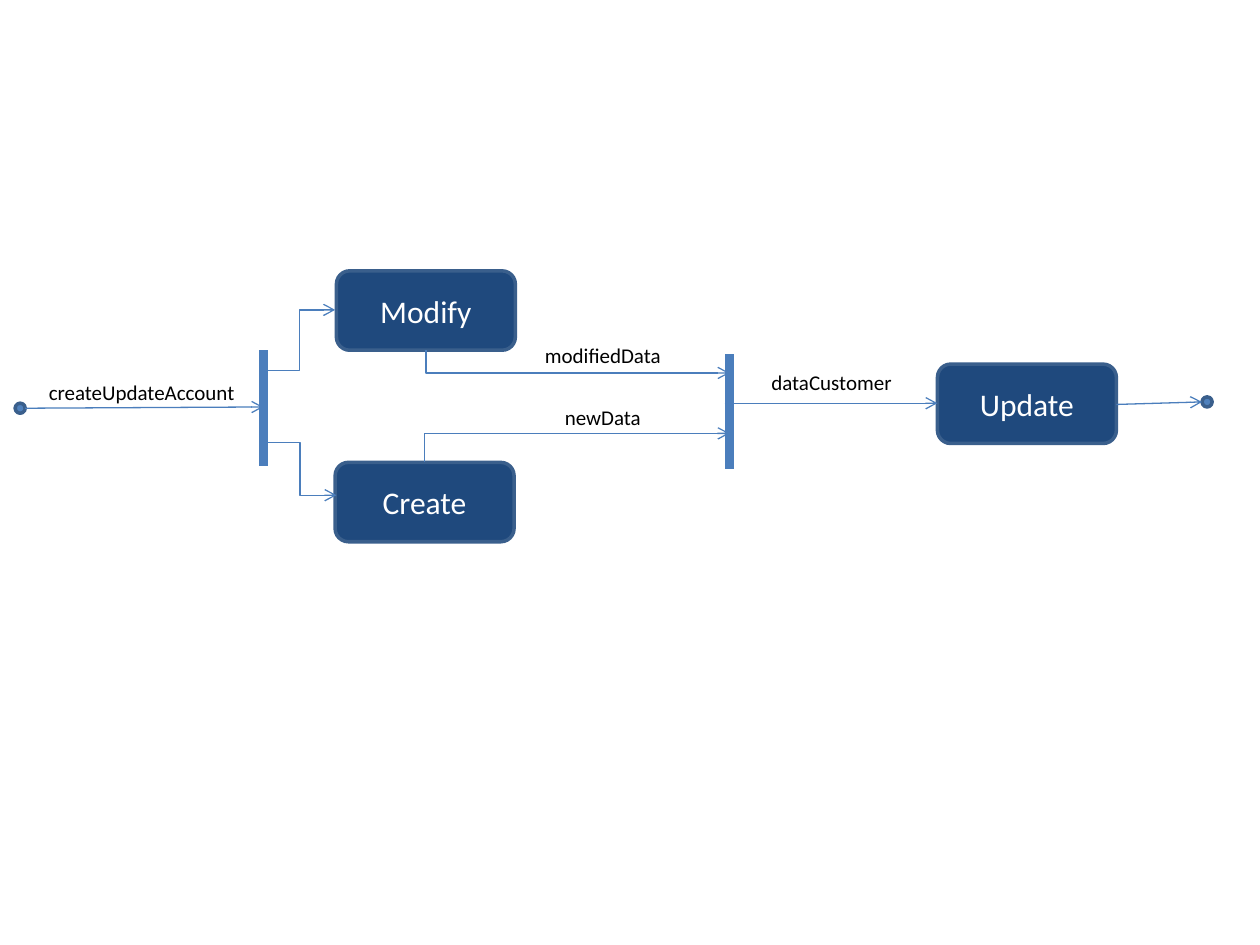
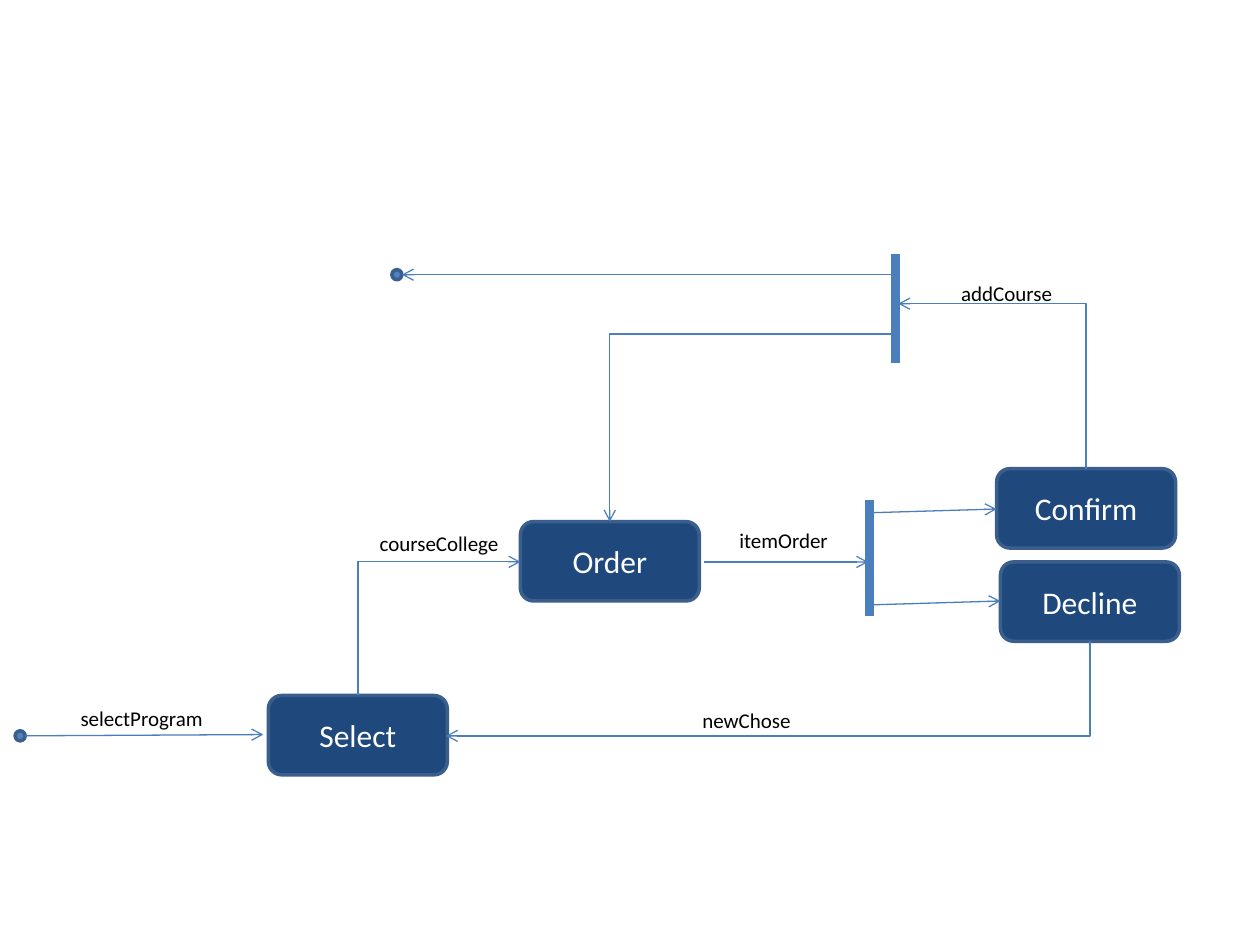
from lxml import etree
from pptx import Presentation
from pptx.dml.color import RGBColor
from pptx.enum.shapes import MSO_CONNECTOR, MSO_SHAPE
from pptx.enum.text import MSO_ANCHOR, PP_ALIGN
from pptx.oxml.ns import qn
from pptx.util import Inches, Pt

STRAIGHT, ELBOW = MSO_CONNECTOR.STRAIGHT, MSO_CONNECTOR.ELBOW
STATE_SHAPE, DOT_SHAPE = MSO_SHAPE.FLOWCHART_ALTERNATE_PROCESS, MSO_SHAPE.OVAL
CENTER, MIDDLE = PP_ALIGN.CENTER, MSO_ANCHOR.MIDDLE

NAVY = RGBColor(0x1F, 0x49, 0x7D)
BLUE = RGBColor(0x4F, 0x81, 0xBD)
OUTLINE = RGBColor(0x3A, 0x5F, 0x8C)
FLOW = RGBColor(0x4B, 0x7E, 0xBC)
WHITE = RGBColor(0xFF, 0xFF, 0xFF)
BLACK = RGBColor(0, 0, 0)
FONT = "Calibri"
STATE_WIDTH, STATE_HEIGHT = 1.42, 0.63
DOT_SIZE = 0.08
LABEL_HEIGHT = 0.3
QUARTER_TURN = "5400000"

# Routes: "line" is straight, "step" turns twice, "across" and "upright" turn once.
DIAGRAMS = [
    {
        "dots": [(0.12, 3.2), (9.54, 3.15)],
        "states": [("Create", 2.66, 3.67), ("Modify", 2.67, 2.15), ("Update", 7.44, 2.89)],
        "bars": [(2.09, 2.78, 3.7), (5.79, 2.81, 3.72)],
        "flows": [
            ("line", (0.2, 3.24), (2.09, 3.23)),
            ("step", (2.09, 3.51), (2.67, 3.93)),
            ("step", (2.09, 2.94), (2.66, 2.46)),
            ("upright", (3.38, 2.78), (5.79, 2.96)),
            ("upright", (3.37, 3.67), (5.79, 3.44)),
            ("line", (5.75, 3.2), (7.44, 3.2)),
            ("line", (8.86, 3.21), (9.54, 3.19)),
        ],
        "labels": [
            ("createUpdateAccount", 0.16, 2.96, 1.93),
            ("modifiedData", 3.82, 2.67, 1.93),
            ("newData", 3.82, 3.16, 1.93),
            ("dataCustomer", 5.83, 2.88, 1.54),
        ],
    },
    {
        "dots": [(0.12, 5.8), (3.11, 2.14)],
        "states": [("Select", 2.13, 5.52), ("Order", 4.13, 4.14),
                   ("Confirm", 7.91, 3.72), ("Decline", 7.94, 4.46)],
        "bars": [(6.9, 3.97, 4.89), (7.11, 2.02, 2.88)],
        "flows": [
            ("line", (0.2, 5.84), (2.09, 5.83)),
            ("upright", (2.84, 5.52), (4.13, 4.46)),
            ("line", (5.59, 4.46), (6.89, 4.46)),
            ("line", (6.9, 4.07), (7.91, 4.04)),
            ("line", (6.93, 4.8), (7.94, 4.77)),
            ("upright", (8.65, 5.09), (3.54, 5.84)),
            ("upright", (8.62, 3.72), (7.13, 2.41)),
            ("across", (7.11, 2.65), (4.84, 4.14)),
            ("line", (7.11, 2.18), (3.19, 2.18)),
        ],
        "labels": [
            ("selectProgram", 0.16, 5.55, 1.93),
            ("itemOrder", 5.55, 4.14, 1.34),
            ("addCourse", 7.22, 2.18, 1.54),
            ("courseCollege", 2.52, 4.16, 1.93),
            ("newChose", 4.96, 5.57, 1.93),
        ],
    },
]


def write(shape, text, size, color):
    frame = shape.text_frame
    frame.word_wrap = True
    frame.text = text
    para = frame.paragraphs[0]
    para.alignment = CENTER
    font = para.runs[0].font
    font.name, font.size = FONT, Pt(size)
    font.color.rgb = color


def add_node(page, kind, left, top, width, height, fill):
    node = page.shapes.add_shape(kind, Inches(left), Inches(top), Inches(width), Inches(height))
    node.shadow.inherit = False
    node.fill.solid()
    node.fill.fore_color.rgb = fill
    node.line.color.rgb = OUTLINE
    node.line.width = Pt(2)
    return node


def add_line(page, kind, start, end, width):
    line = page.shapes.add_connector(kind, *(Inches(value) for value in (*start, *end)))
    line.line.color.rgb = FLOW
    line.line.width = Pt(width)
    etree.SubElement(line._element.spPr, qn("a:effectLst"))
    return line


def add_flow(page, route, start, end):
    if route == "upright":
        middle_x, middle_y = (start[0] + end[0]) / 2, (start[1] + end[1]) / 2
        half_x, half_y = (end[0] - start[0]) / 2, (end[1] - start[1]) / 2
        start = middle_x - half_y, middle_y + half_x
        end = middle_x + half_y, middle_y - half_x
    flow = add_line(page, STRAIGHT if route == "line" else ELBOW, start, end, 0.75)
    properties = flow._element.spPr
    etree.SubElement(properties.find(qn("a:ln")), qn("a:tailEnd"), type="arrow")
    if route in ("across", "upright"):
        properties.find(qn("a:prstGeom")).set("prst", "bentConnector2")
    if route == "upright":
        properties.find(qn("a:xfrm")).set("rot", QUARTER_TURN)


def add_diagram(page, diagram):
    for left, top in diagram["dots"]:
        add_node(page, DOT_SHAPE, left, top, DOT_SIZE, DOT_SIZE, BLUE)
    for name, left, top in diagram["states"]:
        state = add_node(page, STATE_SHAPE, left, top, STATE_WIDTH, STATE_HEIGHT, NAVY)
        write(state, name, 18, WHITE)
        state.text_frame.vertical_anchor = MIDDLE
    for x, top, bottom in diagram["bars"]:
        add_line(page, STRAIGHT, (x, top), (x, bottom), 5)
    for route, start, end in diagram["flows"]:
        add_flow(page, route, start, end)
    for text, left, top, width in diagram["labels"]:
        label = page.shapes.add_textbox(Inches(left), Inches(top), Inches(width), Inches(LABEL_HEIGHT))
        write(label, text, 12, BLACK)


deck = Presentation()
deck.slide_width, deck.slide_height = Inches(10), Inches(7.5)
blank = deck.slide_layouts.get_by_name("Blank")
for diagram in DIAGRAMS:
    add_diagram(deck.slides.add_slide(blank), diagram)
deck.save("out.pptx")
